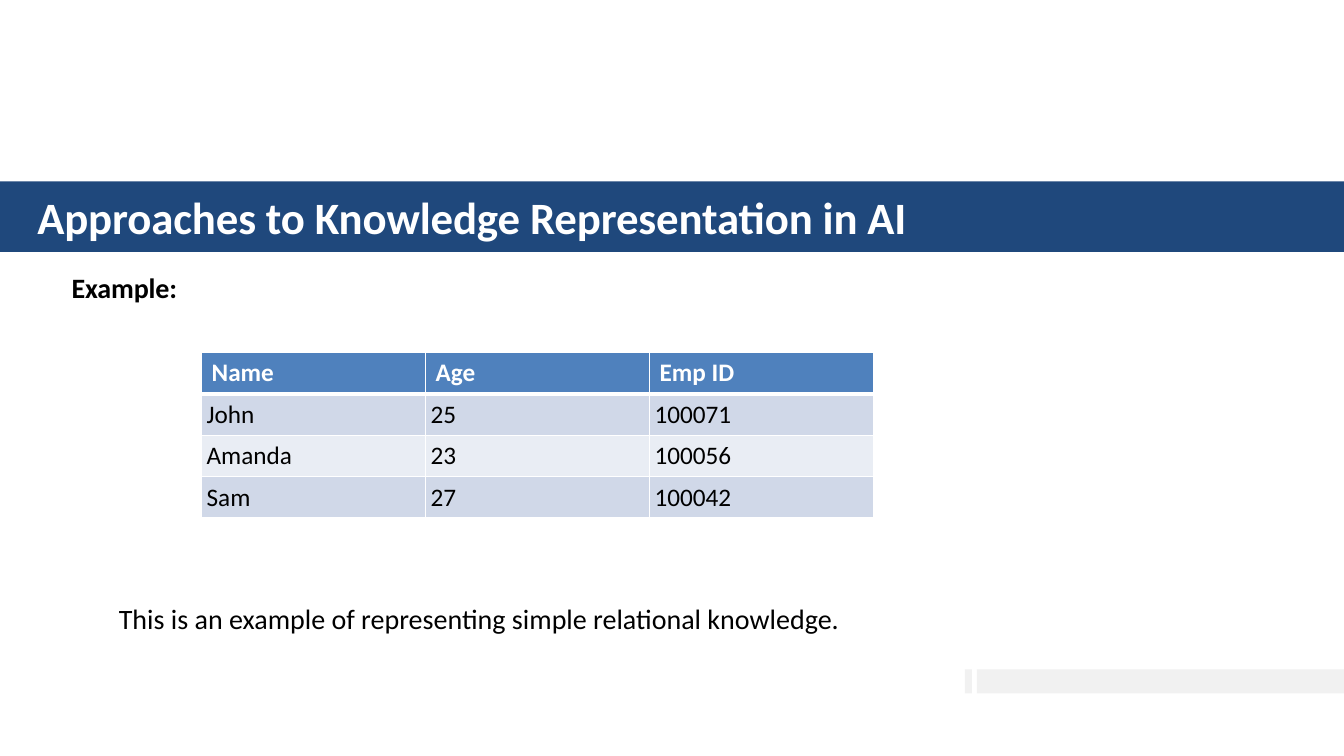
from lxml.etree import SubElement
from pptx import Presentation
from pptx.dml.color import RGBColor
from pptx.enum.shapes import MSO_SHAPE
from pptx.enum.text import MSO_ANCHOR
from pptx.oxml import parse_xml
from pptx.oxml.ns import nsdecls, qn
from pptx.util import Inches, Pt

NAVY = RGBColor(0x1F, 0x48, 0x7C)
BLUE = RGBColor(0x4F, 0x81, 0xBD)
BAND_DARK = RGBColor(0xD0, 0xD8, 0xE8)
BAND_LIGHT = RGBColor(0xE9, 0xED, 0xF4)
PALE_GREY = RGBColor(0xF1, 0xF1, 0xF1)
WHITE = RGBColor(0xFF, 0xFF, 0xFF)
BLACK = RGBColor(0, 0, 0)

FONT = "Calibri"
SLIDE_W, SLIDE_H = 13.33, 7.5

TITLE = "Approaches to Knowledge Representation in AI"
HEADING = "Example:"
EMPLOYEES = [
    ("Name", "Age", "Emp ID"),
    ("John", "25", "100071"),
    ("Amanda", "23", "100056"),
    ("Sam", "27", "100042"),
]
CONCLUSION = "This is an example of representing simple relational knowledge."

BAND_TOP, BAND_H = 1.8, 0.7
FOOTER_TOP, FOOTER_H = 6.64, 0.24
FOOTER_SPANS = [(9.57, 9.64), (9.69, SLIDE_W)]
TABLE_LEFT, TABLE_TOP = SLIDE_W * 0.15, 3.5
COLUMN_W, ROW_H = SLIDE_W / 6, 0.41
THIN, THICK = 1, 3


def add_bar(slide, left, top, width, height, color):
    bar = slide.shapes.add_shape(
        MSO_SHAPE.RECTANGLE, *map(Inches, (left, top, width, height)))
    bar.shadow.inherit = False
    bar.fill.solid()
    bar.fill.fore_color.rgb = color
    bar.line.fill.background()


def write(paragraph, text, size, color, bold=False):
    run = paragraph.add_run()
    run.text = text
    run.font.name = FONT
    run.font.size = Pt(size)
    run.font.bold = bold
    run.font.color.rgb = color
    return run


def add_text(slide, box, text, size, color):
    frame = slide.shapes.add_textbox(*map(Inches, box)).text_frame
    frame.word_wrap = True
    return frame, write(frame.paragraphs[0], text, size, color)


def add_headline(slide, box, text, size, color):
    """Bold, slightly tightened text in a box with almost no insets."""
    frame, run = add_text(slide, box, text, size, color)
    frame.margin_left = frame.margin_right = frame.margin_bottom = 0
    frame.margin_top = Inches(0.02)
    frame.paragraphs[0].runs[0].font.bold = True
    run.font._element.set("spc", "-10")


def set_borders(cell, top, bottom):
    """White borders; they must come before the fill in the cell properties."""
    properties = cell._tc.get_or_add_tcPr()
    widths = {"lnL": THIN, "lnR": THIN, "lnT": top, "lnB": bottom}
    for position, (side, width) in enumerate(widths.items()):
        line = parse_xml(f'<a:{side} {nsdecls("a")} w="{Pt(width)}"/>')
        fill = SubElement(line, qn("a:solidFill"))
        SubElement(fill, qn("a:srgbClr"), val=str(WHITE))
        properties.insert(position, line)


def add_employee_table(slide):
    rows, columns = len(EMPLOYEES), len(EMPLOYEES[0])
    table = slide.shapes.add_table(
        rows, columns, Inches(TABLE_LEFT), Inches(TABLE_TOP),
        Inches(COLUMN_W * columns), Inches(ROW_H * rows)).table
    for r, employee in enumerate(EMPLOYEES):
        header = r == 0
        for c, value in enumerate(employee):
            cell = table.cell(r, c)
            cell.fill.solid()
            cell.fill.fore_color.rgb = (
                BLUE if header else BAND_DARK if r % 2 else BAND_LIGHT)
            if not header:
                cell.vertical_anchor = MSO_ANCHOR.MIDDLE
                cell.margin_left = Inches(0.05)
            set_borders(cell, THICK if r == 1 else THIN,
                        THICK if header else THIN)
            write(cell.text_frame.paragraphs[0], value, 18,
                  WHITE if header else BLACK, header)


def main():
    deck = Presentation()
    deck.slide_width, deck.slide_height = Inches(SLIDE_W), Inches(SLIDE_H)
    slide = deck.slides.add_slide(deck.slide_layouts[6])

    add_bar(slide, 0, BAND_TOP, SLIDE_W, BAND_H, NAVY)
    add_headline(slide, (0.37, 1.86, 10.22, 0.55), TITLE, 32, WHITE)
    for start, end in FOOTER_SPANS:
        add_bar(slide, start, FOOTER_TOP, end - start, FOOTER_H, PALE_GREY)
    add_headline(slide, (0.71, 2.66, 1.88, 0.35), HEADING, 20, BLACK)
    add_employee_table(slide)
    add_text(slide, (1.08, 5.92, 9.08, 0.44), CONCLUSION, 20, BLACK)

    deck.save("out.pptx")


if __name__ == "__main__":
    main()
